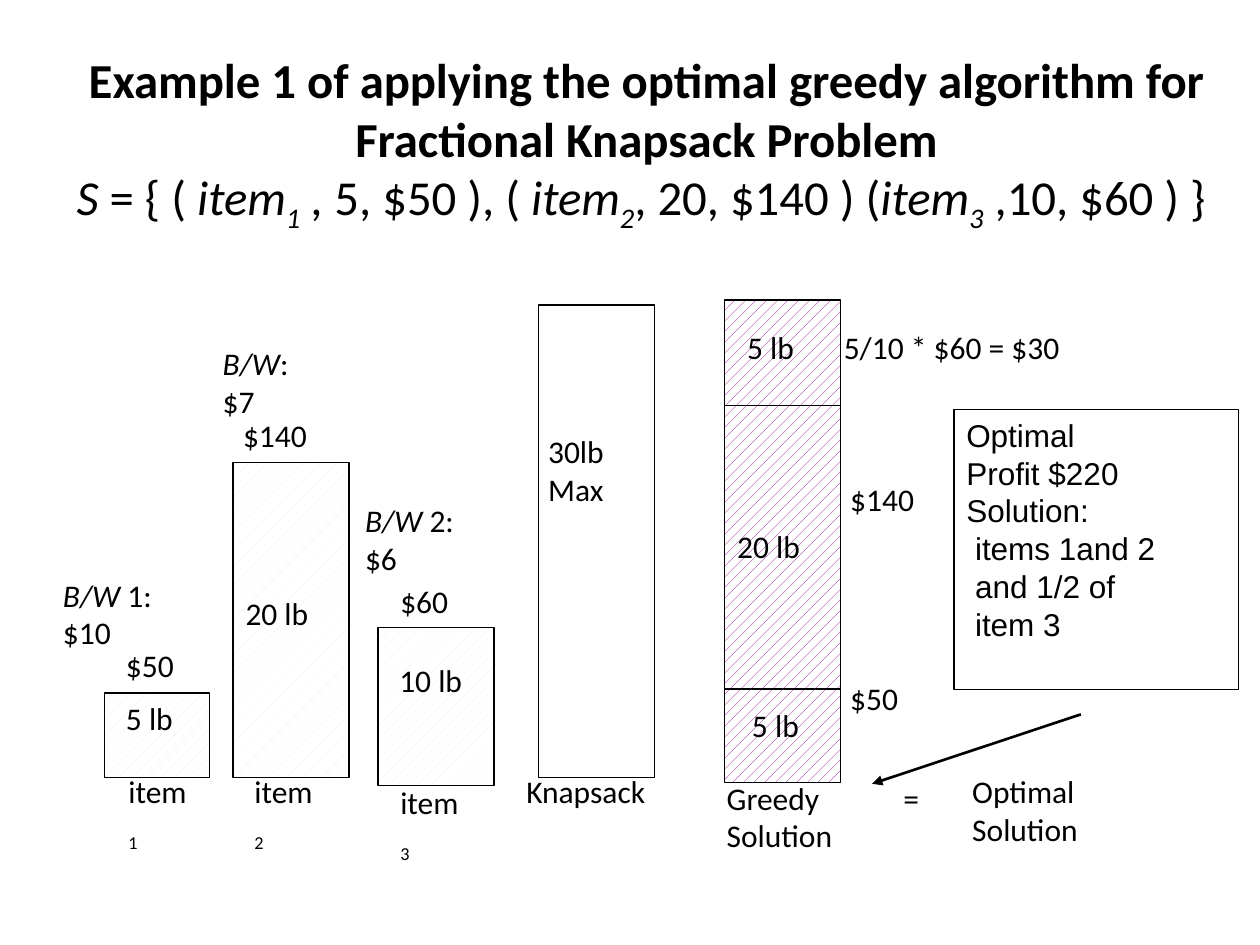
from dataclasses import dataclass

from lxml.etree import SubElement
from pptx import Presentation
from pptx.dml.color import RGBColor
from pptx.enum.dml import MSO_PATTERN
from pptx.enum.shapes import MSO_CONNECTOR, MSO_SHAPE
from pptx.enum.text import MSO_ANCHOR, MSO_AUTO_SIZE, PP_ALIGN
from pptx.oxml.ns import qn
from pptx.util import Cm, Pt


@dataclass(frozen=True)
class Theme:
    """Colours, fonts and type sizes of the slide."""
    ink: RGBColor = RGBColor(0, 0, 0)
    paper: RGBColor = RGBColor(255, 255, 255)
    sand: RGBColor = RGBColor(0xEE, 0xEC, 0xE1)
    plum: RGBColor = RGBColor(0x80, 0, 0x80)
    font: str = "Calibri"
    plain: str = "Arial"
    head: float = 27.9
    body: float = 18
    thin: float = 0.75
    thick: float = 1.5


def write(frame, *paras, font, size, color, align=PP_ALIGN.LEFT,
          anchor=MSO_ANCHOR.TOP):
    """Fill a frame; a paragraph is a string or (text, marks) runs: b, i, s."""
    frame.word_wrap = True
    frame.auto_size = MSO_AUTO_SIZE.NONE
    frame.vertical_anchor = anchor
    for n, runs in enumerate(paras):
        para = frame.add_paragraph() if n else frame.paragraphs[0]
        para.alignment = align
        for text, marks in [(runs, "")] if isinstance(runs, str) else runs:
            for k, part in enumerate(text.split("\n")):
                if k:
                    para.add_line_break()
                if not part:
                    continue
                run = para.add_run()
                run.text = part
                run.font.name, run.font.size = font, Pt(size)
                run.font.color.rgb = color
                run.font.bold, run.font.italic = "b" in marks, "i" in marks
                if "s" in marks:
                    run.font._element.set("baseline", "-25000")


class Board:
    """Holds the theme and the current slide."""

    def __init__(self, slide, theme):
        """Keep the slide and its theme."""
        self.slide, self.theme = slide, theme

    def title(self, runs, left, top, width, height):
        """Place and fill the title."""
        shape = self.slide.shapes.title
        shape.left, shape.top = Cm(left), Cm(top)
        shape.width, shape.height = Cm(width), Cm(height)
        write(shape.text_frame, runs, font=self.theme.font,
              size=self.theme.head, color=self.theme.ink,
              align=PP_ALIGN.CENTER, anchor=MSO_ANCHOR.MIDDLE)

    def label(self, text, left, top, width=2.24, height=1.27):
        """Add a free label."""
        box = self.slide.shapes.add_textbox(Cm(left), Cm(top), Cm(width), Cm(height))
        write(box.text_frame, text, font=self.theme.font,
              size=self.theme.body, color=self.theme.ink)

    def bar(self, left, top, width, height, dots=None, color=None):
        """Add an outlined bar, dotted if a pattern is given."""
        bar = self.slide.shapes.add_shape(
            MSO_SHAPE.RECTANGLE, Cm(left), Cm(top), Cm(width), Cm(height))
        bar.shadow.inherit = False
        bar.line.color.rgb, bar.line.width = self.theme.ink, Pt(self.theme.thin)
        if dots is None:
            bar.fill.background()
        else:
            bar.fill.patterned()
            bar.fill.pattern = dots
            bar.fill.fore_color.rgb = color
            bar.fill.back_color.rgb = self.theme.paper
        return bar

    def note(self, lines, *place):
        """Add a framed note."""
        write(self.bar(*place).text_frame, *lines, font=self.theme.plain,
              size=self.theme.body, color=self.theme.ink)

    def line(self, start, end, arrow=False):
        """Add a line, with a head at its end for an arrow."""
        line = self.slide.shapes.add_connector(
            MSO_CONNECTOR.STRAIGHT, *map(Cm, start + end))
        line.line.color.rgb = self.theme.ink
        line.line.width = Pt(self.theme.thick if arrow else self.theme.thin)
        if arrow:
            SubElement(line.line._get_or_add_ln(), qn("a:tailEnd"), type="triangle")
        SubElement(line._element.spPr, qn("a:effectLst"))


def main():
    """Build and save the slide."""
    deck = Presentation()
    deck.slide_width, deck.slide_height = Cm(25.4), Cm(19.05)
    theme = Theme()
    board = Board(deck.slides.add_slide(deck.slide_layouts[5]), theme)

    board.title([
        ("Example 1 of applying the optimal greedy algorithm for "
         "Fractional Knapsack Problem\n", "b"),
        ("S", "i"), (" = { ( ", ""),
        ("item", "i"), ("1", "is"), (" ,", "i"), (" 5, $50 ), ( ", ""),
        ("item", "i"), ("2", "is"), (", 20, $140 ) (", ""),
        ("item", "i"), ("3", "is"), (" ,10, $60 ) } ", ""),
    ], 1.07, 1.27, 23.93, 3.18)

    wide = 2.34
    light, dense = MSO_PATTERN.PERCENT_5, MSO_PATTERN.PERCENT_10
    items = [
        ((2.11, 13.97, 2.11, 1.7), dense, ("5 lb", 2.29, 13.97),
         ("$50", 2.29, 12.9), (2.34, 15.44), ("B/W", " 1: $10", 1.02, 11.48, 3.1)),
        ((4.7, 9.32, wide, 6.35), light, ("20 lb", 4.7, 11.86),
         ("$140", 4.65, 8.26), (4.88, 15.44), ("B/W", ": $7", 4.24, 6.81, 2.4)),
        ((7.62, 12.65, wide, 3.18), dense, ("10 lb", 7.8, 13.21),
         ("$60", 7.82, 11.61), (7.82, 15.67), ("B/W", " 2: $6", 7.11, 9.98, 2.7)),
    ]
    for n, (place, dots, weight, price, foot, ratio) in enumerate(items, 1):
        board.bar(*place, dots, theme.sand)
        board.label(*weight)
        board.label(*price)
        board.label([("item", ""), (str(n), "s")], *foot, 1.78, 1.02)
        name, rest, *spot = ratio
        board.label([(name, "i"), (rest, "")], *spot, 1.02)

    board.bar(10.85, 6.15, wide, 9.53)
    board.label("30lb\nMax", 10.8, 8.59, 2.06, 2.29)
    board.label("Knapsack", 10.36, 15.44, 3.02, 1.02)

    left, top = 14.61, 6.05
    right, split = left + wide, 8.18
    board.bar(left, top, wide, 9.73, MSO_PATTERN.PERCENT_20, theme.plum)
    for y in (split, 13.89):
        board.line((left, y), (right, y))
    for x in (left, right):
        board.line((x, split), (x, top))
    for text, *spot in [
        ("5 lb", 14.81, 6.48), ("20 lb", left, 10.49), ("5 lb", 14.91, 14.1),
        ("5/10 * $60 = $30", 16.76, 6.48, 6.3),
        ("$140", 16.89, 9.55), ("$50", 16.89, 13.56),
        ("Greedy\nSolution", 14.4, 15.57, 2.8, 1.78),
        ("=", 17.96, 15.57, 0.99),
        ("Optimal\nSolution", 19.35, 15.44, 2.8, 1.78),
    ]:
        board.label(text, *spot)

    board.line((21.79, 14.4), (17.58, 15.8), arrow=True)
    board.note(["Optimal", "Profit $220", "Solution:", " items 1and 2",
                " and 1/2 of", " item 3"], 19.23, 8.26, 5.74, 5.64)
    deck.save("out.pptx")


if __name__ == "__main__":
    main()
